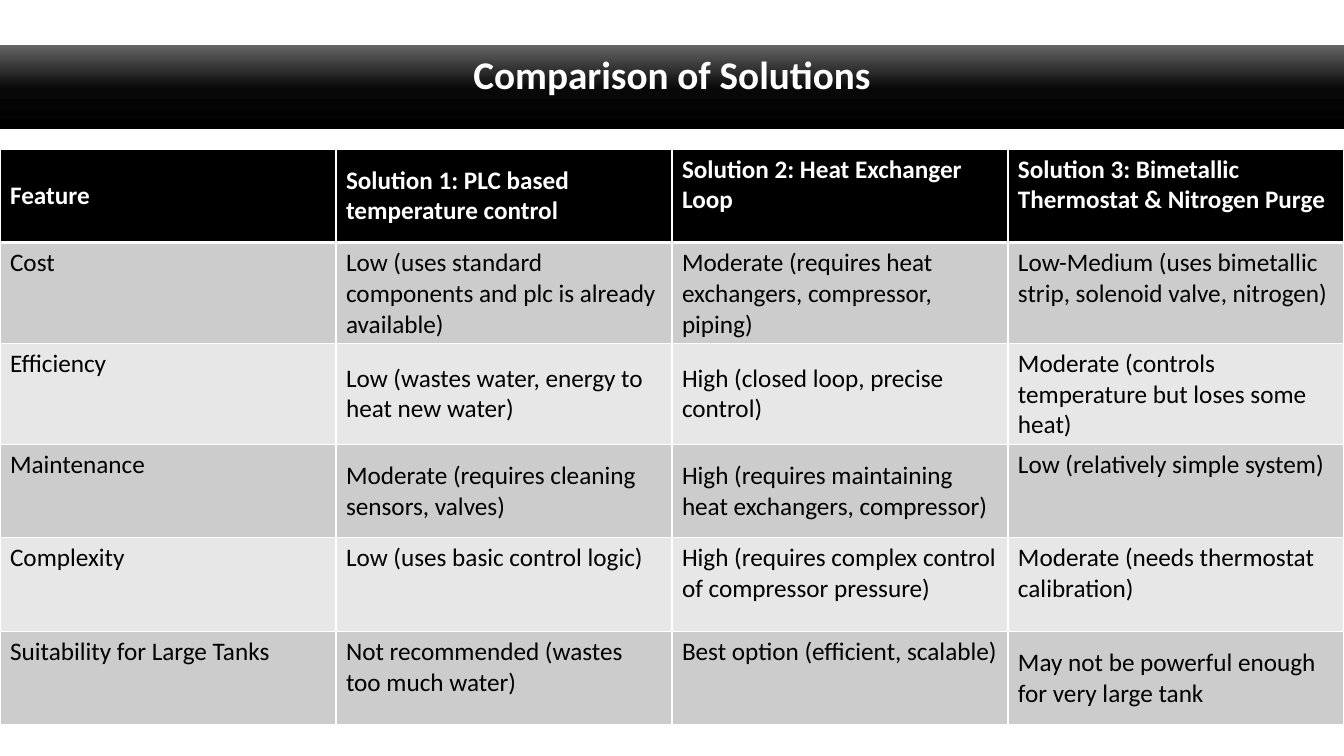
from copy import deepcopy

from lxml.etree import SubElement
from pptx import Presentation
from pptx.dml.color import RGBColor
from pptx.enum.text import MSO_ANCHOR, MSO_AUTO_SIZE, PP_ALIGN
from pptx.oxml.ns import qn
from pptx.util import Pt

BLACK = RGBColor(0x00, 0x00, 0x00)
INK = RGBColor(0x08, 0x08, 0x08)
GREY = RGBColor(0x66, 0x66, 0x66)
DARK = RGBColor(0xCC, 0xCC, 0xCC)
LIGHT = RGBColor(0xE7, 0xE7, 0xE7)
WHITE = RGBColor(0xFF, 0xFF, 0xFF)

WIDTH, HEIGHT = Pt(960), Pt(540)
ROW = Pt(66.8)
STOPS = [(0, BLACK), (0.48, INK), (1, GREY)]

TITLE = {"name": "Calibri", "size": Pt(28), "bold": True}
HEAD = {"name": "Calibri", "size": Pt(18), "bold": True}
BODY = {"name": "Calibri", "size": Pt(18), "bold": False}

ROWS = [
    ["Feature", "Solution 1: PLC based temperature control",
     "Solution 2: Heat Exchanger Loop",
     "Solution 3: Bimetallic Thermostat & Nitrogen Purge"],
    ["Cost", "Low (uses standard components and plc is already available)",
     "Moderate (requires heat exchangers, compressor, piping)",
     "Low-Medium (uses bimetallic strip, solenoid valve, nitrogen)"],
    ["Efficiency", "Low (wastes water, energy to heat new water)",
     "High (closed loop, precise control)",
     "Moderate (controls temperature but loses some heat)"],
    ["Maintenance", "Moderate (requires cleaning sensors, valves)",
     "High (requires maintaining heat exchangers, compressor)",
     "Low (relatively simple system)"],
    ["Complexity", "Low (uses basic control logic)",
     "High (requires complex control of compressor pressure)",
     "Moderate (needs thermostat calibration)"],
    ["Suitability for Large Tanks", "Not recommended (wastes too much water)",
     "Best option (efficient, scalable)",
     "May not be powerful enough for very large tank"],
]
MIDDLE = {(0, 0), (0, 1), (2, 1), (2, 2), (3, 1), (3, 2), (5, 3)}


def apply(item, values):
    for name, value in values.items():
        setattr(item, name, value)


def write(frame, text, style, color):
    para = frame.paragraphs[0]
    run = para.add_run()
    run.text = text
    apply(run.font, style)
    run.font.color.rgb = color
    return para


def shade(fill):
    fill.gradient()
    fill.gradient_angle = 90
    first = fill._fill._gradFill.gsLst[0]
    first.addnext(deepcopy(first))
    for stop, (place, color) in zip(fill.gradient_stops, STOPS):
        stop.position = place
        stop.color.rgb = color


def add_title(slide, text):
    title = slide.shapes.title
    apply(title, {"left": 0, "top": Pt(32), "width": WIDTH, "height": Pt(41)})
    shade(title.fill)
    frame = title.text_frame
    apply(frame, {"word_wrap": True, "vertical_anchor": MSO_ANCHOR.TOP,
                  "auto_size": MSO_AUTO_SIZE.SHAPE_TO_FIT_TEXT})
    write(frame, text, TITLE, WHITE).alignment = PP_ALIGN.CENTER


def add_edges(cell, widths):
    props = cell._tc.get_or_add_tcPr()
    for side, width in widths.items():
        line = SubElement(props, qn(f"a:ln{side}"), w=str(Pt(width)))
        fill = SubElement(line, qn("a:solidFill"))
        SubElement(fill, qn("a:srgbClr"), val=str(WHITE))


def fill_cell(cell, text, row, col):
    add_edges(cell, {"L": 1, "R": 1, "T": 3 if row == 1 else 1,
                     "B": 3 if row == 0 else 1})
    head = row == 0
    cell.fill.solid()
    cell.fill.fore_color.rgb = BLACK if head else DARK if row % 2 else LIGHT
    middle = (row, col) in MIDDLE
    cell.vertical_anchor = MSO_ANCHOR.MIDDLE if middle else MSO_ANCHOR.TOP
    write(cell.text_frame, text, HEAD if head else BODY,
          WHITE if head else BLACK)


def add_grid(slide):
    count = len(ROWS)
    table = slide.shapes.add_table(count, len(ROWS[0]), 0, Pt(106.5),
                                   WIDTH, ROW * count).table
    for row, texts in enumerate(ROWS):
        table.rows[row].height = ROW
        for col, text in enumerate(texts):
            fill_cell(table.cell(row, col), text, row, col)


def main():
    deck = Presentation()
    apply(deck, {"slide_width": WIDTH, "slide_height": HEIGHT})
    slide = deck.slides.add_slide(deck.slide_layouts[5])
    add_title(slide, "Comparison of Solutions")
    add_grid(slide)
    deck.save("out.pptx")


if __name__ == "__main__":
    main()
